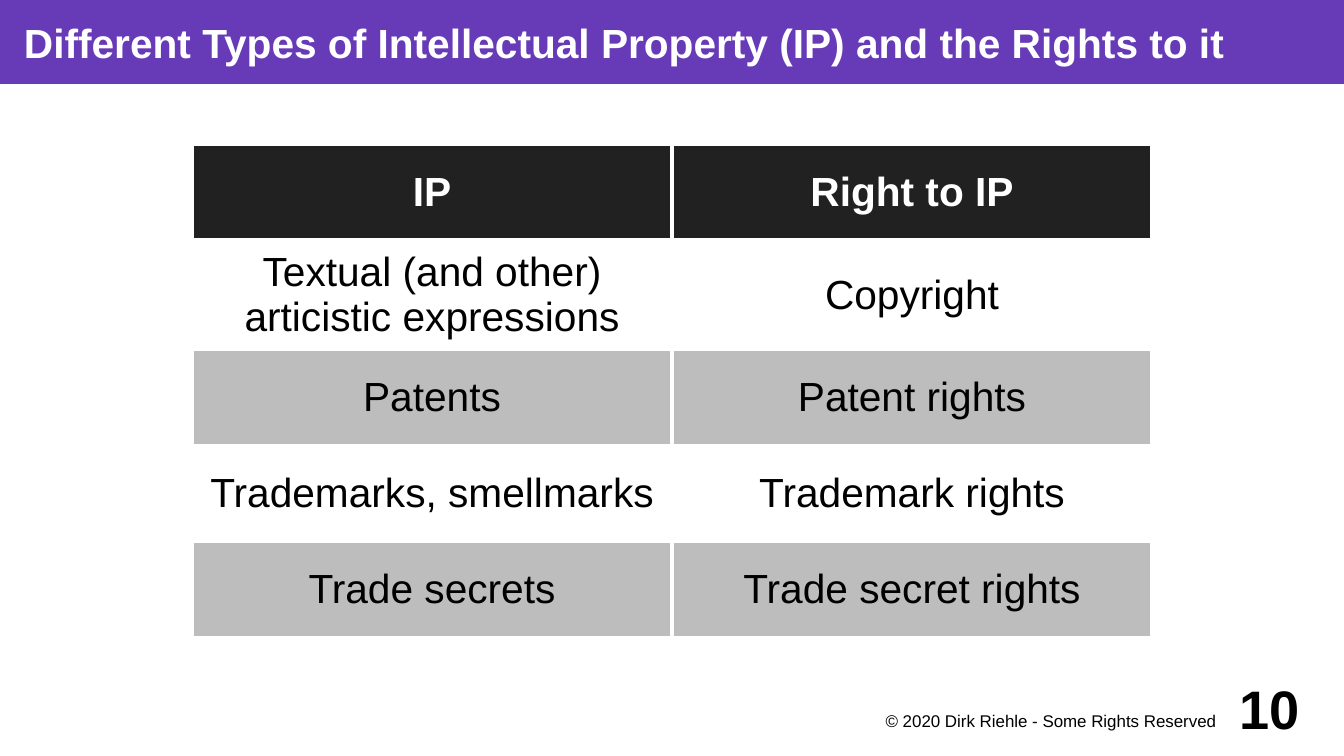
from dataclasses import dataclass

from lxml.etree import SubElement
from pptx import Presentation
from pptx.dml.color import RGBColor
from pptx.enum.shapes import MSO_SHAPE
from pptx.enum.text import MSO_ANCHOR, PP_ALIGN
from pptx.oxml.ns import qn
from pptx.slide import Slide
from pptx.table import _Cell
from pptx.text.text import TextFrame
from pptx.util import Cm, Pt


@dataclass(frozen=True)
class Theme:
    font: str = "Arial"
    purple: str = "673AB7"
    dark: str = "212121"
    gray: str = "BDBDBD"
    white: str = "FFFFFF"
    black: str = "000000"
    body_size: float = 24
    footer_size: float = 10
    number_size: float = 32
    border_width: float = 2.27


@dataclass(frozen=True)
class TextStyle:
    size: float
    color: str
    bold: bool = False
    align: PP_ALIGN = PP_ALIGN.LEFT
    anchor: MSO_ANCHOR = MSO_ANCHOR.MIDDLE


@dataclass(frozen=True)
class Label:
    """A text block; lengths in cm, insets as left, top, right, bottom."""
    text: str
    box: tuple[float, float, float, float]
    insets: tuple[float, float, float, float]
    style: TextStyle
    fill: str | None = None


THEME = Theme()
SLIDE_WIDTH, SLIDE_HEIGHT = 28, 15.75
TABLE_LEFT, TABLE_TOP = 4, 3
COLUMN_WIDTH, ROW_HEIGHT = 10, 2

LABELS = [
    Label("Different Types of Intellectual Property (IP) and the Rights to it",
          (0, 0, SLIDE_WIDTH, 1.75), (0.5, 0, 0, 0),
          TextStyle(THEME.body_size, THEME.white, bold=True), THEME.purple),
    Label("© 2020 Dirk Riehle - Some Rights Reserved",
          (18, 14.75, 8, 0.75), (0, 0.05, 0.67, 0),
          TextStyle(THEME.footer_size, THEME.black, align=PP_ALIGN.RIGHT,
                    anchor=MSO_ANCHOR.TOP)),
    Label("10", (25.5, 14, 2, 1.5), (0, 0, 0.43, 0),
          TextStyle(THEME.number_size, THEME.black, bold=True,
                    align=PP_ALIGN.RIGHT)),
]

RIGHTS = [
    ("IP", "Right to IP"),
    ("Textual (and other)\narticistic expressions", "Copyright"),
    ("Patents", "Patent rights"),
    ("Trademarks, smellmarks", "Trademark rights"),
    ("Trade secrets", "Trade secret rights"),
]


def write_text(tf: TextFrame, text: str, style: TextStyle) -> None:
    p = tf.paragraphs[0]
    p.text = text
    p.alignment = style.align
    for r in p.runs:
        r.font.name = THEME.font
        r.font.size = Pt(style.size)
        r.font.bold = style.bold
        r.font.color.rgb = RGBColor.from_string(style.color)


def add_label(slide: Slide, label: Label) -> None:
    box = [Cm(v) for v in label.box]
    if label.fill:
        sp = slide.shapes.add_shape(MSO_SHAPE.RECTANGLE, *box)
        sp.shadow.inherit = False
        sp.fill.solid()
        sp.fill.fore_color.rgb = RGBColor.from_string(label.fill)
        sp.line.fill.background()
    else:
        sp = slide.shapes.add_textbox(*box)
    tf = sp.text_frame
    tf.word_wrap = True
    tf.vertical_anchor = label.style.anchor
    left, top, right, bottom = (Cm(v) for v in label.insets)
    tf.margin_left, tf.margin_top = left, top
    tf.margin_right, tf.margin_bottom = right, bottom
    write_text(tf, label.text, label.style)


def add_borders(cell: _Cell, color: str, width: float) -> None:
    tc_pr = cell._tc.get_or_add_tcPr()
    for side in ("lnL", "lnR", "lnT", "lnB"):
        line = SubElement(tc_pr, qn(f"a:{side}"), w=str(Pt(width)))
        fill = SubElement(line, qn("a:solidFill"))
        SubElement(fill, qn("a:srgbClr"), val=color)


def add_rights_table(slide: Slide) -> None:
    n_rows, n_cols = len(RIGHTS), len(RIGHTS[0])
    table = slide.shapes.add_table(
        n_rows, n_cols, Cm(TABLE_LEFT), Cm(TABLE_TOP),
        Cm(n_cols * COLUMN_WIDTH), Cm(n_rows * ROW_HEIGHT)).table
    table.horz_banding = False
    header = TextStyle(THEME.body_size, THEME.white, True, PP_ALIGN.CENTER)
    body = TextStyle(THEME.body_size, THEME.black, False, PP_ALIGN.CENTER)

    for i, row in enumerate(RIGHTS):
        # Dark header, then alternating white and gray rows
        band = THEME.white if i % 2 else THEME.gray
        fill = band if i else THEME.dark
        for j, text in enumerate(row):
            cell = table.cell(i, j)
            cell.vertical_anchor = MSO_ANCHOR.MIDDLE
            add_borders(cell, THEME.white, THEME.border_width)
            cell.fill.solid()
            cell.fill.fore_color.rgb = RGBColor.from_string(fill)
            write_text(cell.text_frame, text, body if i else header)


def main() -> None:
    prs = Presentation()
    prs.slide_width, prs.slide_height = Cm(SLIDE_WIDTH), Cm(SLIDE_HEIGHT)
    slide = prs.slides.add_slide(prs.slide_layouts[6])

    # Title bar, footer and page number
    for label in LABELS:
        add_label(slide, label)

    # Table of IP types and rights
    add_rights_table(slide)

    prs.save("out.pptx")


if __name__ == "__main__":
    main()
